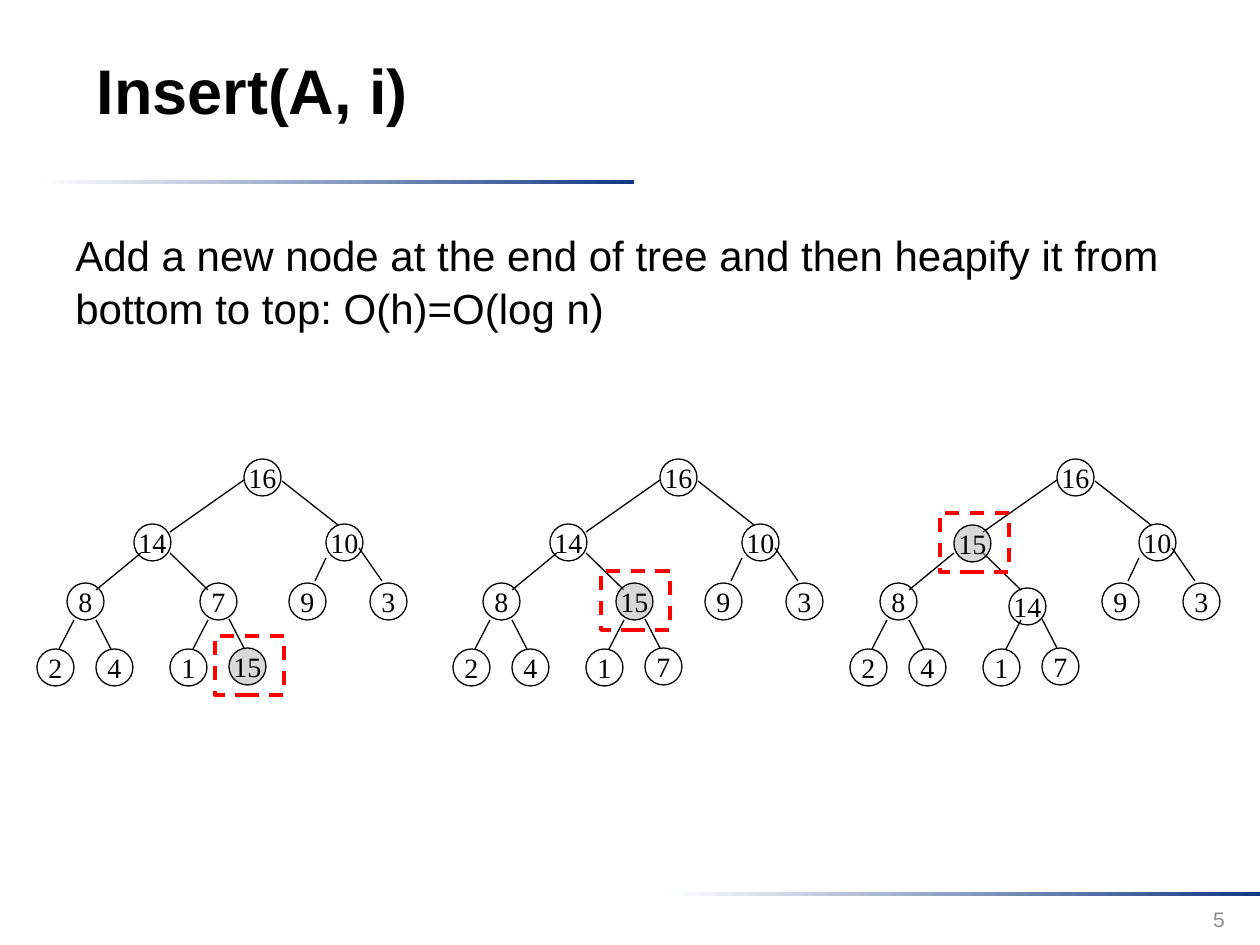
from lxml.etree import SubElement
from pptx import Presentation
from pptx.dml.color import RGBColor
from pptx.enum.dml import MSO_LINE
from pptx.enum.shapes import MSO_CONNECTOR, MSO_SHAPE
from pptx.enum.text import MSO_ANCHOR, PP_ALIGN
from pptx.oxml.ns import qn
from pptx.util import Pt

PX = 914400 / 126  # EMU in one px
COLORS = {"black": "000000", "white": "FFFFFF", "blue": "133984",
          "grey": "B2B2B2", "red": "FF0000", "number": "8C8C8C"}
NODE = 37


def emu(*lengths):
    return [round(v * PX) for v in lengths]


def put_text(sp, text, size, color="black", font="Arial", bold=False,
             align=PP_ALIGN.LEFT, anchor=MSO_ANCHOR.MIDDLE, wrap=True, spacing=1.0):
    tf = sp.text_frame
    tf.word_wrap = wrap
    tf.vertical_anchor = anchor
    p = tf.paragraphs[0]
    p.alignment = align
    p.line_spacing = spacing
    r = p.add_run()
    r.text = text
    r.font.name = font
    r.font.size = Pt(size)
    r.font.bold = bold
    r.font.color.rgb = RGBColor.from_string(COLORS[color])


prs = Presentation()
prs.slide_width, prs.slide_height = emu(1260, 945)
s = prs.slides.add_slide(prs.slide_layouts[5])

# Gradient rules
for x, y in [(39, 180), (665, 892)]:
    sp = s.shapes.add_shape(MSO_SHAPE.RECTANGLE, *emu(x, y, 595, 4))
    sp.shadow.inherit = False
    sp.line.fill.background()
    sp.fill.gradient()
    sp.fill.gradient_angle = 0
    for stop, color in zip(sp.fill.gradient_stops, ["white", "blue"]):
        stop.color.rgb = RGBColor.from_string(COLORS[color])

# Title, body and slide number
title = s.shapes.title
title.left, title.top, title.width, title.height = emu(84, 53, 1071, 73)
put_text(title, "Insert(A, i)", 36, bold=True)
body = s.shapes.add_textbox(*emu(63, 221, 1134, 180))
put_text(body, "Add a new node at the end of tree and then heapify it from "
         "bottom to top: O(h)=O(log n)", 24, anchor=MSO_ANCHOR.TOP, spacing=1.05)
number = s.shapes.add_textbox(*emu(944, 894, 293, 50))
put_text(number, "5", 12, color="number", align=PP_ALIGN.RIGHT)

# Heap slots and edges, in level order, measured in the first tree
SLOTS = [(244, 459), (134, 524), (326, 524), (67, 583), (200, 583), (289, 583),
         (370, 583), (37, 649), (96, 649), (170, 649), (229, 648)]
EDGES = [(244, 480, 170, 532), (282, 481, 338, 525), (141, 553, 96, 590),
         (170, 553, 208, 590), (326, 558, 315, 581), (359, 548, 382, 581),
         (74, 620, 59, 649), (96, 620, 111, 649), (208, 620, 193, 649),
         (229, 619, 244, 648)]

# Each tree: x offset, keys in level order, moved slots, frame around the new key
TREES = [
    (0, [16, 14, 10, 8, 7, 9, 3, 2, 4, 1, 15], {}, (215, 636)),
    (416, [16, 14, 10, 8, 15, 9, 3, 2, 4, 1, 7], {}, (601, 571)),
    (813, [16, 15, 10, 8, 14, 9, 3, 2, 4, 1, 7],
     {1: (141, 525), 4: (196, 588)}, (940, 513)),
]

for dx, keys, moved, frame in TREES:
    for x1, y1, x2, y2 in EDGES:
        ln = s.shapes.add_connector(MSO_CONNECTOR.STRAIGHT, *emu(x1 + dx, y1, x2 + dx, y2))
        ln.line.width = Pt(0.75)
        ln.line.color.rgb = RGBColor.from_string(COLORS["black"])
        SubElement(ln._element.spPr, qn("a:effectLst"))

    for i, key in enumerate(keys):
        x, y = moved.get(i, SLOTS[i])
        sp = s.shapes.add_shape(MSO_SHAPE.OVAL, *emu(x + dx, y, NODE, NODE))
        sp.shadow.inherit = False
        sp.line.width = Pt(0.75)
        sp.line.color.rgb = RGBColor.from_string(COLORS["black"])
        if key == 15:
            sp.fill.solid()
            sp.fill.fore_color.rgb = RGBColor.from_string(COLORS["grey"])
            clr = sp._element.spPr.find(qn("a:solidFill"))[0]
            SubElement(clr, qn("a:alpha"), val="50000")
        else:
            sp.fill.background()
        put_text(sp, str(key), 16, font="Times New Roman",
                 align=PP_ALIGN.CENTER, wrap=False)

    # Dashed frame
    sp = s.shapes.add_shape(MSO_SHAPE.RECTANGLE, *emu(*frame, 69, 59))
    sp.shadow.inherit = False
    sp.fill.background()
    sp.line.width = Pt(2)
    sp.line.color.rgb = RGBColor.from_string(COLORS["red"])
    sp.line.dash_style = MSO_LINE.DASH

prs.save("out.pptx")
